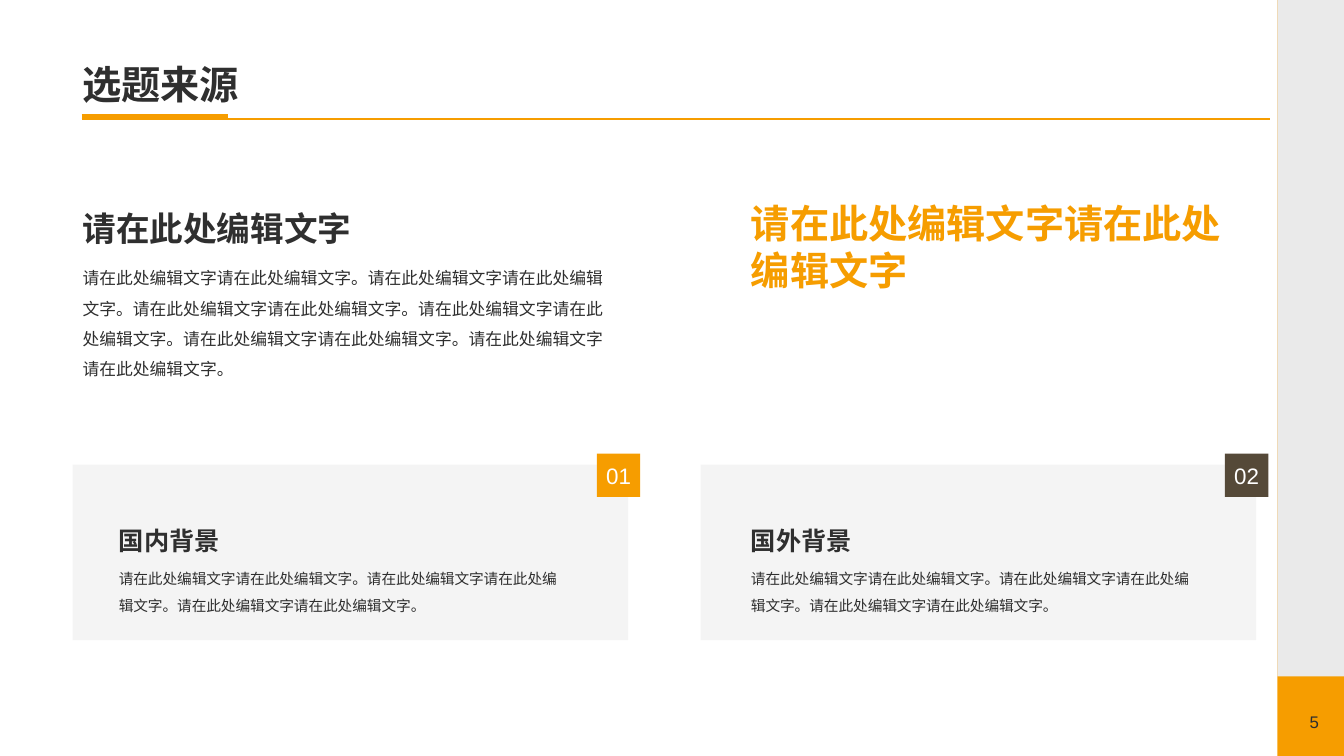
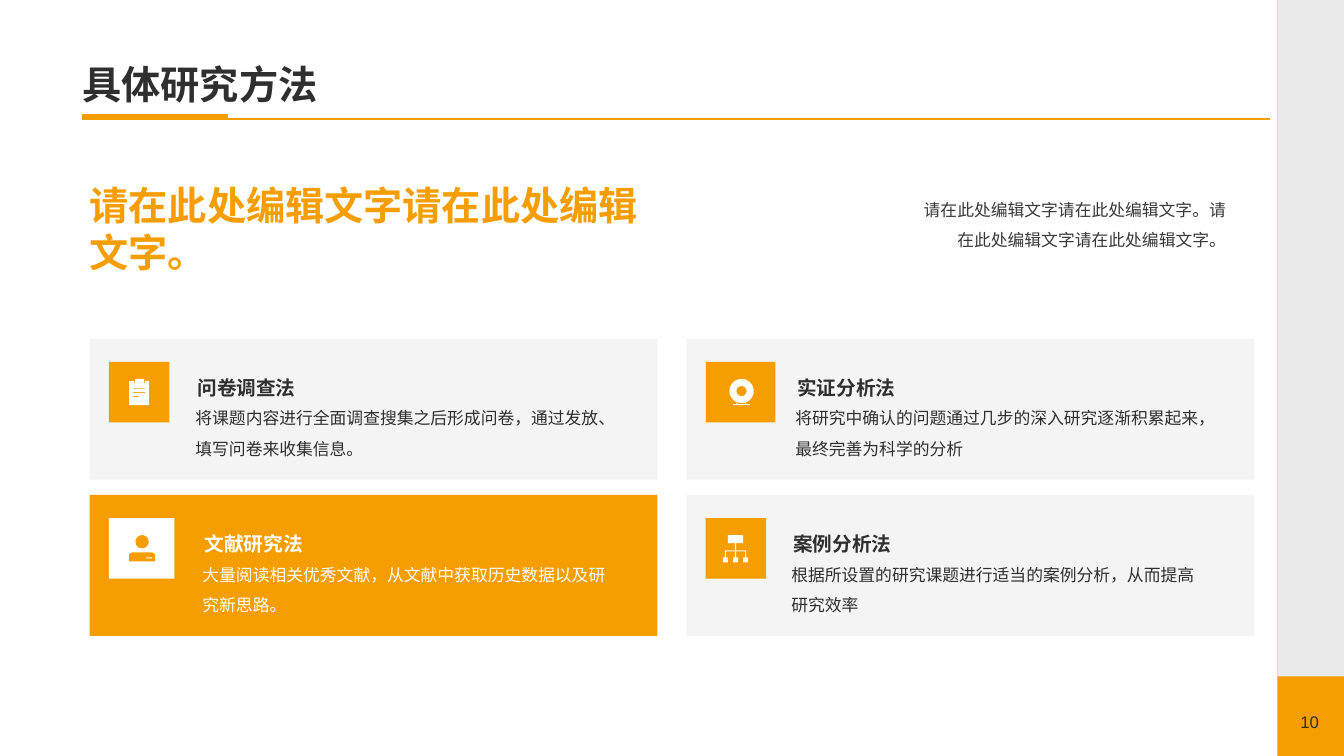
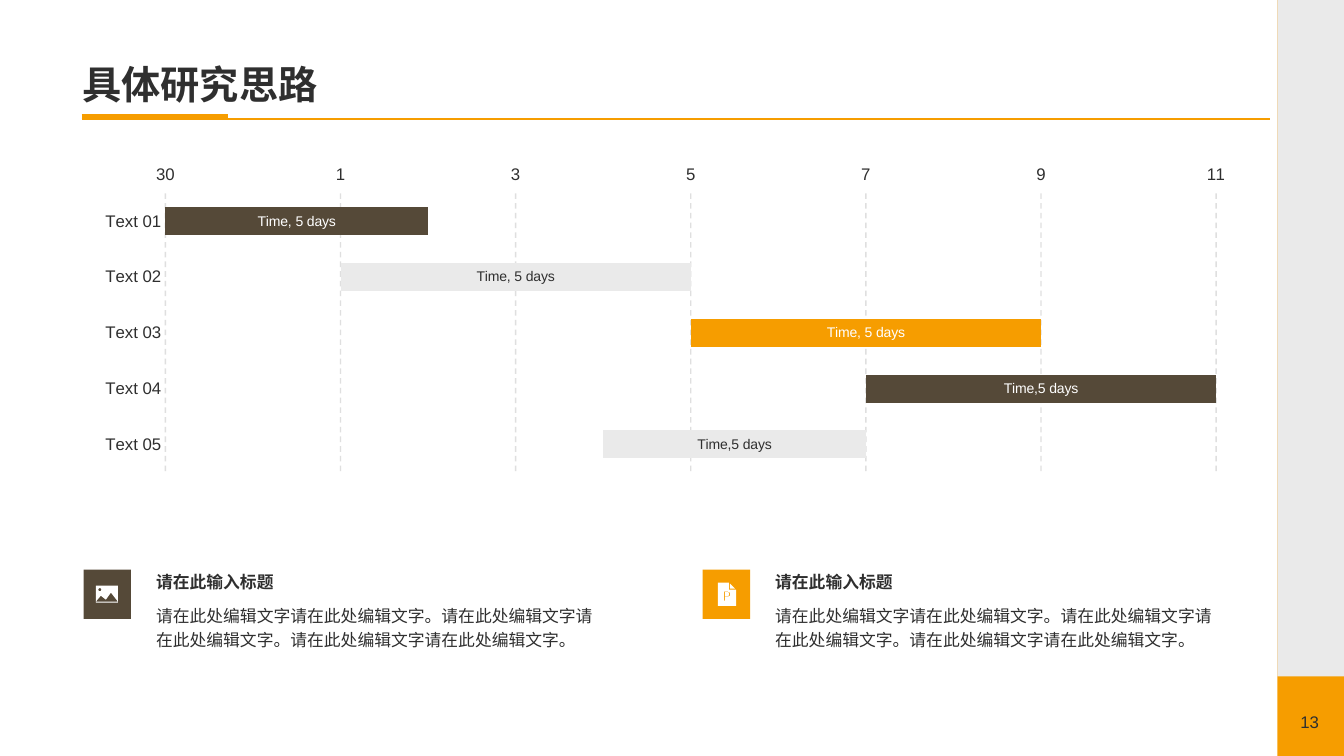
from math import cos, pi, sin

from lxml import etree
from pptx import Presentation
from pptx.chart.data import CategoryChartData
from pptx.dml.color import RGBColor
from pptx.enum import chart as charts, dml, shapes, text
from pptx.oxml.ns import qn
from pptx.util import Inches, Pt

ORANGE = RGBColor(0xF6, 0x9D, 0x00)
BROWN = RGBColor(0x55, 0x49, 0x38)
DARK = RGBColor(0x2F, 0x2F, 0x2F)
CHARCOAL = RGBColor(0x39, 0x39, 0x39)
GRAY = RGBColor(0x97, 0x97, 0x97)
LIGHT = RGBColor(0xEA, 0xEA, 0xEA)
WHITE = RGBColor(0xFF, 0xFF, 0xFF)
FONT = "Arial"
PHRASE = "请在此处编辑文字"
SENTENCE = PHRASE * 2 + "。"


def box(left, top, width, height):
    right, bottom = left + width, top + height
    return [(left, top), (right, top), (right, bottom), (left, bottom)]


def circle(x, y, radius, steps=40):
    angles = [2 * pi * step / steps for step in range(steps)]
    return [(x + radius * cos(a), y + radius * sin(a)) for a in angles]


# Icon outlines, in hundredths of an inch; an outline inside another is a hole.
CLIPBOARD = [
    [(5, 2), (5, 4), (16, 4), (16, 2), (20, 2), (20, 26), (0, 26), (0, 2)],
    box(6, 0, 9, 4), box(4, 9, 12, 1), box(4, 13, 12, 1), box(4, 17, 6, 1),
]
WEBCAM = [
    circle(12.5, 12, 12), circle(12.5, 12, 5),
    [(8, 23), (7, 25), (4, 25), (4, 26), (21, 26), (21, 25), (17, 25),
     (16, 23), (16, 25), (8, 25)],
]
PERSON = [
    circle(13, 6.5, 6.5),
    [(3, 17), (23, 17), (26, 19), (26, 26), (0, 26), (0, 19)],
    box(17, 22, 6, 1),
]
TREE = [box(5, 0, 15, 8), box(12, 8, 1, 7), box(2, 15, 21, 1)]
for branch in (0, 10, 20):
    TREE += [box(branch + 2, 16, 1, 6), box(branch, 22, 5, 5)]
PHOTO = [
    box(0, 0, 22, 17), circle(4, 4, 1.5),
    [(15, 7), (10, 14), (5, 10), (0, 16), (22, 16)],
]
DOCUMENT = [
    [(0, 0), (11, 0), (11, 7), (18, 7), (18, 23), (0, 23)],
    [(12, 1), (17, 6), (12, 6)],
    [(6, 9), (10, 9), (12, 10), (12, 13), (10, 14), (7, 14), (7, 18), (6, 18)],
    [(7, 9.5), (10, 9.5), (11, 10.5), (11, 12.5), (10, 13.5), (7, 13.5)],
]


def set_opacity(element, percent):
    color = element.find(".//" + qn("a:srgbClr"))
    etree.SubElement(color, qn("a:alpha"), val=str(percent * 1000))


def format_font(font, size, color=DARK, bold=False):
    font.name, font.size, font.bold = FONT, Pt(size), bold
    font.color.rgb = color


class Deck:
    def __init__(self):
        self.presentation = Presentation()
        self.presentation.slide_width = Inches(13.33)
        self.presentation.slide_height = Inches(7.5)
        self.slide = None

    def start_slide(self, title, number):
        layout = self.presentation.slide_layouts[6]
        self.slide = self.presentation.slides.add_slide(layout)
        self.rectangle(12.67, 0, 0.66, 7.5, ORANGE)
        self.rectangle(12.67, 0, 0.66, 6.71, LIGHT)
        self.rule(0.81, 12.6, 1.18, 1)
        self.rule(0.81, 2.26, 1.15, 3)
        self.label(0.72, 0, 11.88, 1.12, title, 28, bold=True, spacing=0.9,
                   anchor=text.MSO_ANCHOR.BOTTOM)
        self.label(10.27, 7.04, 2.91, 0.24, str(number), 12,
                   align=text.PP_ALIGN.RIGHT, anchor=text.MSO_ANCHOR.MIDDLE)

    def rule(self, left, right, y, weight):
        line = self.slide.shapes.add_connector(
            shapes.MSO_CONNECTOR.STRAIGHT,
            Inches(left), Inches(y), Inches(right), Inches(y))
        line.line.color.rgb = ORANGE
        line.line.width = Pt(weight)
        etree.SubElement(line._element.spPr, qn("a:effectLst"))

    def rectangle(self, left, top, width, height, color, opacity=100):
        shape = self.slide.shapes.add_shape(
            shapes.MSO_SHAPE.RECTANGLE,
            Inches(left), Inches(top), Inches(width), Inches(height))
        self.paint(shape, color)
        if opacity < 100:
            set_opacity(shape._element.spPr, opacity)
        return shape

    def paint(self, shape, color):
        shape.shadow.inherit = False
        shape.fill.solid()
        shape.fill.fore_color.rgb = color
        shape.line.fill.background()

    def panel(self, left, top, width, height):
        self.rectangle(left, top, width, height, GRAY, opacity=10)

    def label(self, left, top, width, height, words, size, color=DARK,
              bold=False, spacing=1.0, align=text.PP_ALIGN.LEFT,
              anchor=text.MSO_ANCHOR.TOP):
        shape = self.slide.shapes.add_textbox(
            Inches(left), Inches(top), Inches(width), Inches(height))
        frame = shape.text_frame
        frame.word_wrap = True
        frame.vertical_anchor = anchor
        frame.text = words
        paragraph = frame.paragraphs[0]
        paragraph.alignment = align
        paragraph.line_spacing = spacing
        format_font(paragraph.runs[0].font, size, color, bold)

    def badge(self, left, top, words, color):
        shape = self.rectangle(left, top, 0.43, 0.43, color)
        frame = shape.text_frame
        frame.word_wrap = False
        frame.vertical_anchor = text.MSO_ANCHOR.MIDDLE
        frame.text = words
        paragraph = frame.paragraphs[0]
        paragraph.alignment = text.PP_ALIGN.CENTER
        format_font(paragraph.runs[0].font, 16, WHITE)

    def icon(self, left, top, outlines, color):
        builder = None
        for outline in outlines:
            points = [(x * 100, y * 100) for x, y in outline]
            if builder is None:
                builder = self.slide.shapes.build_freeform(
                    *points[0], scale=Inches(0.01) / 100)
            else:
                builder.move_to(*points[0])
            builder.add_line_segments(points[1:], close=True)
        self.paint(builder.convert_to_shape(Inches(left), Inches(top)), color)

    def gantt(self, left, top, width, height, tasks):
        """Draw tasks, each a name, start, length, label, bar and label colour."""
        names, starts, lengths, labels, bar_colors, label_colors = zip(*tasks)
        data = CategoryChartData()
        data.categories = names
        data.add_series("Series 1", starts)
        data.add_series("Series 2", lengths)
        chart = self.slide.shapes.add_chart(
            charts.XL_CHART_TYPE.BAR_STACKED, Inches(left), Inches(top),
            Inches(width), Inches(height), data).chart
        chart.has_legend = chart.has_title = False
        format_font(chart.font, 10)
        plot = chart.plots[0]
        plot.gap_width = plot.overlap = 100
        plot.vary_by_categories = False
        offsets, bars = plot.series
        offsets.format.fill.background()
        bars.format.fill.solid()
        bars.format.fill.fore_color.rgb = ORANGE
        for index, label in enumerate(labels):
            point = bars.points[index]
            point.format.fill.solid()
            point.format.fill.fore_color.rgb = bar_colors[index]
            frame = point.data_label.text_frame
            frame.text = label
            format_font(frame.paragraphs[0].runs[0].font, 10, label_colors[index])
            point.data_label.position = charts.XL_LABEL_POSITION.CENTER
        self.format_gantt_axes(chart)
        self.place_plot(chart, x=0.07, y=0.11, w=0.9, h=0.87)

    def format_gantt_axes(self, chart):
        names, days = chart.category_axis, chart.value_axis
        for axis in (names, days):
            format_font(axis.tick_labels.font, 12)
            axis.major_tick_mark = axis.minor_tick_mark = charts.XL_TICK_MARK.NONE
            axis.format.line.fill.background()
        names.reverse_order = True
        names.has_major_gridlines = False
        days.minimum_scale, days.maximum_scale, days.major_unit = 0, 12, 2
        days.tick_labels.number_format = "d"
        days.tick_labels.number_format_is_linked = False
        days.tick_label_position = charts.XL_TICK_LABEL_POSITION.LOW
        grid = days.major_gridlines.format.line
        grid.color.rgb = GRAY
        grid.width = Pt(1)
        grid.dash_style = dml.MSO_LINE.DASH
        set_opacity(days._element.find(qn("c:majorGridlines")), 30)

    def place_plot(self, chart, **fractions):
        area = chart._chartSpace.find(".//" + qn("c:plotArea"))
        for layout in area.findall(qn("c:layout")):
            area.remove(layout)
        layout = etree.Element(qn("c:layout"))
        area.insert(0, layout)
        manual = etree.SubElement(layout, qn("c:manualLayout"))
        settings = {"layoutTarget": "inner", "xMode": "edge", "yMode": "edge"}
        for name, value in {**settings, **fractions}.items():
            etree.SubElement(manual, qn("c:" + name), val=str(value))


def build_topic_source(deck):
    deck.start_slide("选题来源", 5)
    deck.label(0.72, 1.81, 5.52, 0.63, PHRASE, 24, bold=True, spacing=1.5)
    deck.label(0.72, 2.51, 5.52, 1.58, SENTENCE * 6, 12, spacing=1.5)
    deck.label(7.35, 1.93, 5.11, 1.04, PHRASE * 2, 28, ORANGE, bold=True)
    backgrounds = [
        (0.72, 1.08, "01", "国内背景", ORANGE),
        (6.95, 7.35, "02", "国外背景", BROWN),
    ]
    for left, text_left, number, heading, color in backgrounds:
        deck.panel(left, 4.61, 5.51, 1.74)
        deck.label(text_left, 5.01, 4.62, 0.5, heading, 18, bold=True, spacing=1.5)
        deck.label(text_left, 5.52, 4.62, 0.6, SENTENCE * 3, 10.5, spacing=1.5)
        deck.badge(left + 5.2, 4.5, number, color)


def build_methods(deck):
    deck.start_slide("具体研究方法", 10)
    deck.label(0.79, 1.75, 5.72, 1.04, SENTENCE, 28, ORANGE, bold=True)
    deck.label(9.03, 1.83, 3.23, 0.67, SENTENCE * 2, 12, CHARCOAL, spacing=1.5,
               align=text.PP_ALIGN.RIGHT)
    # Outlines, icon inset, tile width, text inset, heading, body.
    methods = [
        (CLIPBOARD, 0.39, 0.6, 0.95, "问卷调查法",
         "将课题内容进行全面调查搜集之后形成问卷，通过发放、填写问卷来收集信息。"),
        (WEBCAM, 0.42, 0.69, 0.98, "实证分析法",
         "将研究中确认的问题通过几步的深入研究逐渐积累起来，最终完善为科学的分析"),
        (PERSON, 0.39, 0.65, 1.02, "文献研究法",
         "大量阅读相关优秀文献，从文献中获取历史数据以及研究新思路。"),
        (TREE, 0.36, 0.6, 0.94, "案例分析法",
         "根据所设置的研究课题进行适当的案例分析，从而提高研究效率"),
    ]
    for index, (outlines, icon_inset, tile, inset, heading, body) in enumerate(methods):
        row, column = divmod(index, 2)
        left, top = 0.89 + 5.92 * column, 3.36 + 1.55 * row
        highlighted = outlines is PERSON
        if highlighted:
            deck.rectangle(left, top, 5.63, 1.4, ORANGE)
        else:
            deck.panel(left, top, 5.63, 1.4)
        tile_color, icon_color = (WHITE, ORANGE) if highlighted else (ORANGE, WHITE)
        words_color = WHITE if highlighted else DARK
        deck.rectangle(left + 0.19, top + 0.23, tile, 0.6, tile_color)
        deck.icon(left + icon_inset, top + 0.4, outlines, icon_color)
        deck.label(left + inset + 0.02, top + 0.2, 5.26 - inset, 0.41, heading, 14,
                   words_color, bold=True, spacing=1.5)
        deck.label(left + inset, top + 0.54, 5.28 - inset, 0.67, body, 12,
                   words_color, spacing=1.5)


def build_schedule(deck):
    deck.start_slide("具体研究思路", 13)
    deck.gantt(0.83, 1.57, 11.58, 3.18, [
        ("Text 01", 0, 3, "Time, 5 days", BROWN, WHITE),
        ("Text 02", 2, 4, "Time, 5 days", LIGHT, DARK),
        ("Text 03", 6, 4, "Time, 5 days", ORANGE, WHITE),
        ("Text 04", 8, 4, "Time,5 days", BROWN, WHITE),
        ("Text 05", 5, 3, "Time,5 days", LIGHT, DARK),
    ])
    notes = [
        (0.83, BROWN, PHOTO, 0.12, 0.16),
        (6.97, ORANGE, DOCUMENT, 0.15, 0.13),
    ]
    for left, color, outlines, icon_x, icon_y in notes:
        deck.rectangle(left, 5.65, 0.47, 0.49, color)
        deck.icon(left + icon_x, 5.65 + icon_y, outlines, WHITE)
        deck.label(left + 0.62, 5.62, 4.6, 0.3, "请在此输入标题", 12, bold=True)
        deck.label(left + 0.62, 5.92, 4.6, 0.56, SENTENCE * 3, 12, spacing=1.2)


def main():
    deck = Deck()
    build_topic_source(deck)
    build_methods(deck)
    build_schedule(deck)
    deck.presentation.save("out.pptx")


if __name__ == "__main__":
    main()
